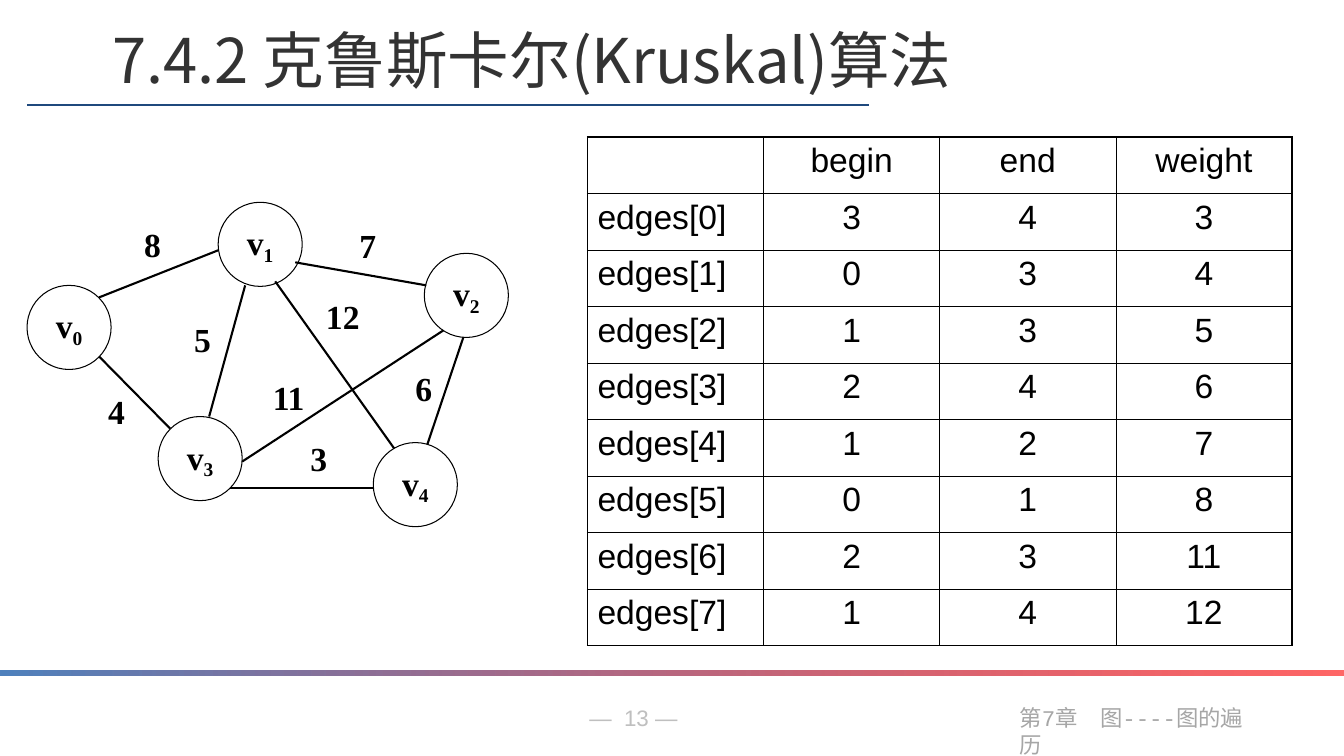
"""Build the Kruskal slide: a weighted graph beside its sorted edge table."""
import pptx
import pptx.util
import pptx.dml.color
import pptx.enum.shapes
import pptx.enum.text
import pptx.oxml
import pptx.oxml.ns
import lxml.etree

PX = 9080
RGB = pptx.dml.color.RGBColor
BLACK = RGB(0, 0, 0)
DARK = RGB(0x33, 0x33, 0x33)
GREY = RGB(0xA6, 0xA6, 0xA6)
PALE = RGB(0xBF, 0xBF, 0xBF)
NAVY = RGB(0x1F, 0x49, 0x7D)
BLUE = RGB(0x4F, 0x81, 0xBD)
RED = RGB(0xFF, 0, 0)
SERIF = "Times New Roman"
ALIGN = pptx.enum.text.PP_ALIGN
ANCHOR = pptx.enum.text.MSO_ANCHOR
SHAPE = pptx.enum.shapes.MSO_SHAPE
qn = pptx.oxml.ns.qn


def style(para, size, face, color, bold=False, align=ALIGN.LEFT):
    para.alignment = align
    for run in para.runs:
        font = run.font
        font.size, font.name, font.bold = pptx.util.Pt(size), face, bold
        font.color.rgb = color
        east = lxml.etree.SubElement(run._r.get_or_add_rPr(), qn("a:ea"))
        east.set("typeface", face)


def draw(start, end, color, width):
    ends = [n * PX for n in start + end]
    line = slide.shapes.add_connector(pptx.enum.shapes.MSO_CONNECTOR.STRAIGHT, *ends)
    line.line.color.rgb = color
    line.line.width = pptx.util.Pt(width)
    lxml.etree.SubElement(line._element.spPr, qn("a:effectLst"))


deck = pptx.Presentation()
deck.slide_width, deck.slide_height = 1343 * PX, 755 * PX
slide = deck.slides.add_slide(deck.slide_layouts[5])

title = slide.shapes.title
title.left, title.top, title.width, title.height = [n * PX for n in (102, 17, 1026, 85)]
frame = title.text_frame
frame.text = "7.4.2 克鲁斯卡尔(Kruskal)算法"
frame.auto_size = pptx.enum.text.MSO_AUTO_SIZE.NONE
frame.vertical_anchor = ANCHOR.TOP
style(frame.paragraphs[0], 44, "Noto Sans CJK SC", DARK)
draw((27, 105), (868, 105), NAVY, 1)

band = slide.shapes.add_shape(SHAPE.RECTANGLE, 0, 670 * PX, deck.slide_width, 5 * PX)
band.shadow.inherit = False
band.line.fill.background()
band.fill.gradient()
band.fill.gradient_angle = 0
for stop, color in zip(band.fill.gradient_stops, (BLUE, RED)):
    stop.color.rgb = color
tint = band._element.spPr.findall(".//" + qn("a:srgbClr"))[-1]
lxml.etree.SubElement(tint, qn("a:alpha")).set("val", "60000")

for left, width, text, face, color in (
    (579, 191, "—  13 —", "Arial", PALE),
    (1009, 262, "第7章　图----图的遍历", "Courier New", GREY),
):
    note = slide.shapes.add_textbox(left * PX, 698 * PX, width * PX, 37 * PX)
    note.text_frame.word_wrap = True
    note.text_frame.text = text
    style(note.text_frame.paragraphs[0], 16, face, color)

nodes = [(27, 285), (218, 202), (424, 253), (158, 416), (373, 442)]
for index, (left, top) in enumerate(nodes):
    node = slide.shapes.add_shape(SHAPE.OVAL, left * PX, top * PX, 84 * PX, 84 * PX)
    node.shadow.inherit = False
    node.fill.background()
    node.line.color.rgb = BLACK
    node.line.width = pptx.util.Pt(0.75)
    frame = node.text_frame
    frame.word_wrap = False
    frame.vertical_anchor = ANCHOR.MIDDLE
    para = frame.paragraphs[0]
    para.add_run().text = "v"
    sub = para.add_run()
    sub.text = str(index)
    style(para, 24, SERIF, BLACK, True, ALIGN.CENTER)
    sub._r.get_or_add_rPr().set("baseline", "-20000")

edges = [
    (3, 4, 3, (230, 487), (373, 487), (289, 428)),
    (0, 3, 4, (99, 356), (170, 428), (87, 381)),
    (1, 3, 5, (245, 285), (209, 416), (173, 309)),
    (2, 4, 6, (463, 337), (427, 444), (394, 358)),
    (1, 2, 7, (295, 262), (426, 285), (338, 215)),
    (0, 1, 8, (99, 297), (218, 250), (123, 214)),
    (2, 3, 11, (242, 461), (443, 330), (259, 367)),
    (1, 4, 12, (275, 281), (394, 448), (313, 286)),
]
for _, _, weight, start, end, (left, top) in edges:
    draw(start, end, BLACK, 1.5)
    label = slide.shapes.add_textbox(left * PX, top * PX, 59 * PX, 59 * PX)
    frame = label.text_frame
    frame.word_wrap = False
    frame.vertical_anchor = ANCHOR.MIDDLE
    frame.text = str(weight)
    style(frame.paragraphs[0], 24, SERIF, BLACK, True, ALIGN.CENTER)

rows = [("", "begin", "end", "weight")]
rows += [(f"edges[{i}]", *edge[:3]) for i, edge in enumerate(edges)]
last = len(rows) - 1
table = slide.shapes.add_table(9, 4, 587 * PX, 137 * PX, 704 * PX, 508 * PX).table
table.first_row = table.horz_banding = False
for r, row in enumerate(rows):
    for c, value in enumerate(row):
        cell = table.cell(r, c)
        cell.fill.background()
        cell.text = str(value)
        style(cell.text_frame.paragraphs[0], 24, "Arial", BLACK,
              align=ALIGN.CENTER if c else ALIGN.LEFT)
        sides = (("L", c == 0), ("R", c == 3), ("T", r == 0), ("B", r == last))
        for place, (side, outer) in enumerate(sides):
            edge = pptx.oxml.parse_xml(
                f'<a:ln{side} {pptx.oxml.ns.nsdecls("a")} '
                f'w="{pptx.util.Pt(1.08 if outer else 0.45)}"><a:solidFill>'
                f'<a:srgbClr val="{BLACK}"/></a:solidFill></a:ln{side}>')
            cell._tc.get_or_add_tcPr().insert(place, edge)

deck.save("out.pptx")
